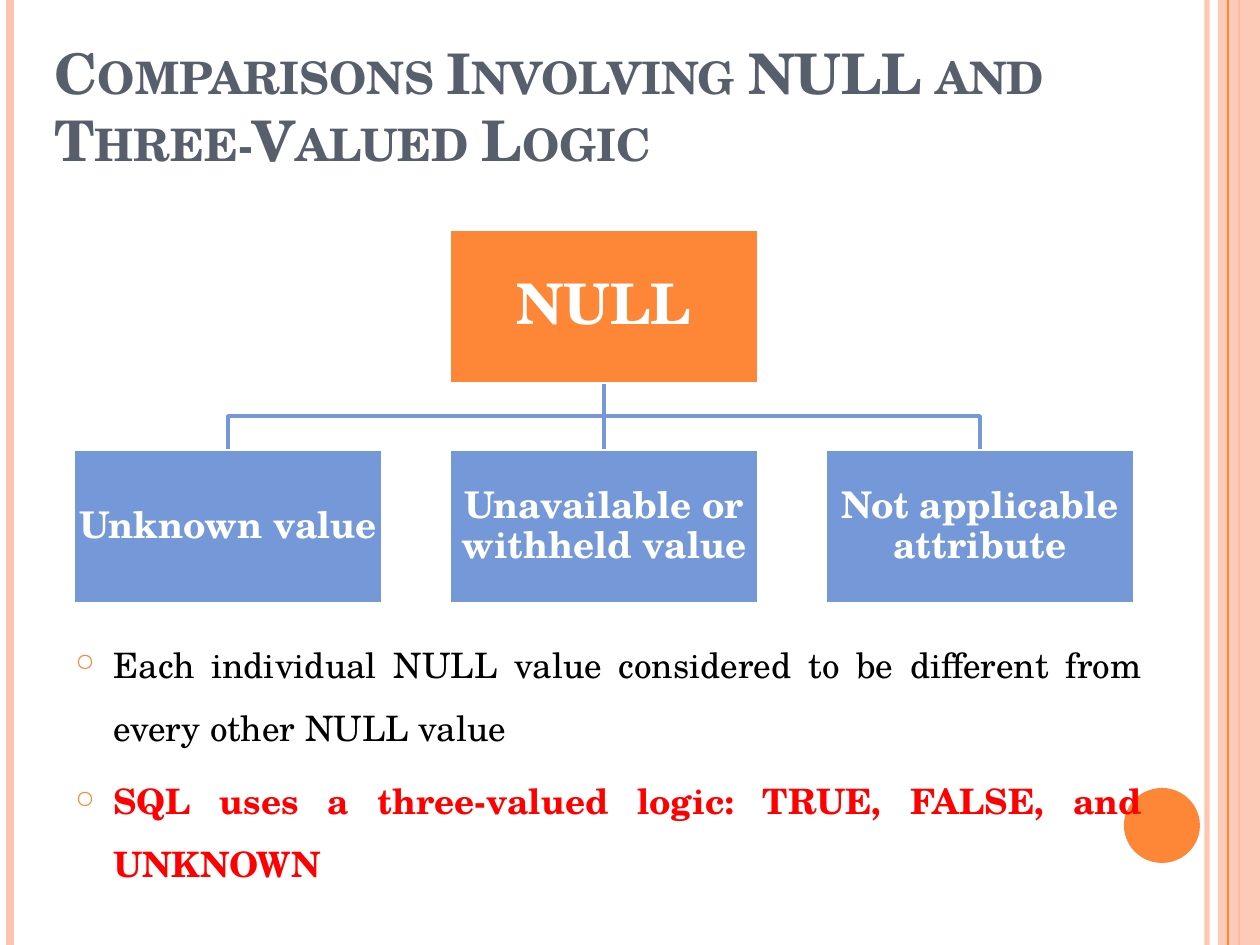
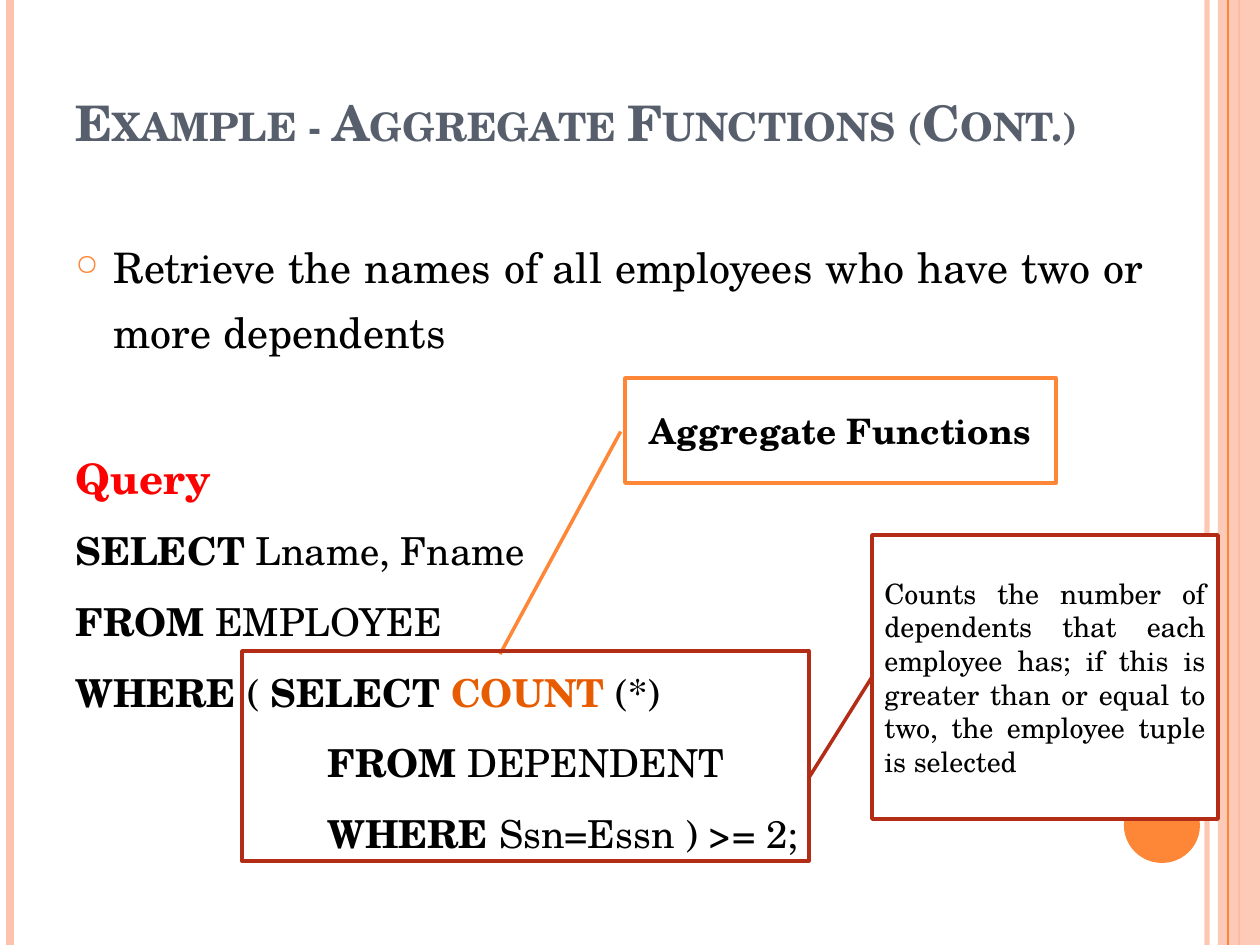
from lxml import etree
from pptx import Presentation
from pptx.dml.color import RGBColor
from pptx.enum.shapes import MSO_CONNECTOR, MSO_SHAPE
from pptx.enum.text import MSO_ANCHOR, PP_ALIGN
from pptx.oxml.ns import qn
from pptx.util import Inches, Pt

PX = 7257  # EMU in one px, 126 px to the inch
FONT = "TeX Gyre Schola"
COLORS = {
    "title": "575F6D", "text": "000000", "white": "FFFFFF", "key": "FF0000",
    "orange": "FE8637", "peach": "FEC3AE", "blue": "7598D9",
    "brick": "B32C16", "count": "E75C01",
}
LEFT, CENTER, JUSTIFY = PP_ALIGN.LEFT, PP_ALIGN.CENTER, PP_ALIGN.JUSTIFY
TOP, MIDDLE, BOTTOM = MSO_ANCHOR.TOP, MSO_ANCHOR.MIDDLE, MSO_ANCHOR.BOTTOM
RECT, OVAL, CALLOUT = MSO_SHAPE.RECTANGLE, MSO_SHAPE.OVAL, MSO_SHAPE.LINE_CALLOUT_1
STRAIGHT = MSO_CONNECTOR.STRAIGHT


def write(box, *runs, size=20, color="text", bold=False, align=LEFT, anchor=TOP,
          spacing=1.0, before=0, indent=0, inset=None, bullet=False, small_caps=False):
    """Add one paragraph; a run is a string or a (string, bold, colour) tuple."""
    frame = box.text_frame
    frame.word_wrap = True
    frame.vertical_anchor = anchor
    if inset is not None:
        frame.margin_left = frame.margin_right = inset * PX
        frame.margin_top = frame.margin_bottom = inset * PX
    paragraph = frame.paragraphs[0]
    if paragraph.runs:
        paragraph = frame.add_paragraph()
        paragraph.space_before = Pt(before)
    paragraph.alignment = align
    paragraph.line_spacing = spacing
    properties = paragraph._p.get_or_add_pPr()
    properties.set("marL", str(indent * PX))
    properties.set("indent", str(-indent * PX if bullet else 0))
    if bullet:
        tint = etree.SubElement(properties, qn("a:buClr"))
        etree.SubElement(tint, qn("a:srgbClr"), val=COLORS["orange"])
        etree.SubElement(properties, qn("a:buSzPct"), val="70000")
        etree.SubElement(properties, qn("a:buChar"), char="○")
    for item in runs:
        if item == "\n":
            paragraph.add_line_break()
            continue
        text, run_bold, run_color = (item, bold, color) if isinstance(item, str) else item
        run = paragraph.add_run()
        run.text = text
        run.font.name = FONT
        run.font.size = Pt(size)
        run.font.bold = run_bold
        run.font.color.rgb = RGBColor.from_string(COLORS[run_color])
        if small_caps:
            run._r.get_or_add_rPr().set("cap", "small")


def block(slide, preset, place, fill=None, line=None):
    """Draw a preset shape with a plain fill and a 2 pt outline."""
    shape = slide.shapes.add_shape(preset, *[length * PX for length in place])
    shape.shadow.inherit = False
    if fill:
        shape.fill.solid()
        shape.fill.fore_color.rgb = RGBColor.from_string(COLORS[fill])
    else:
        shape.fill.background()
    if line:
        shape.line.color.rgb = RGBColor.from_string(COLORS[line])
        shape.line.width = Pt(2)
    else:
        shape.line.fill.background()
    return shape


prs = Presentation()
prs.slide_width, prs.slide_height = Inches(10), Inches(7.5)
straight_lines = []  # connector, colour, width in points
see_through = []  # shape, opacity in percent

# Shared bands, circle and title
titles = [
    (["Comparisons Involving NULL and", "\n", "Three-Valued Logic"], 32, (42, 21, 1124, 158)),
    (["Example - Aggregate Functions (Cont.)"], 28, (63, 0, 1113, 158)),
]
slides = []
for title, size, place in titles:
    slide = prs.slides.add_slide(prs.slide_layouts[6])
    slides.append(slide)
    for x, color, width in [(1207, "peach", 3), (10, "peach", 4.5),
                            (1239, "orange", 1.5), (1228, "orange", 0.75)]:
        if x == 1228:
            margin = block(slide, RECT, (1218, 0, 42, 945), "peach")
            see_through.append((margin, 87))
        rule = slide.shapes.add_connector(STRAIGHT, x * PX, 0, x * PX, 945 * PX)
        straight_lines.append((rule, color, width))
        if x == 1207:
            see_through.append((rule, 93))
    block(slide, OVAL, (1124, 788, 76, 75), "orange")
    heading = slide.shapes.add_textbox(*[length * PX for length in place])
    write(heading, *title, size=size, color="title", bold=True, anchor=BOTTOM, small_caps=True)
logic_slide, query_slide = slides

# Slide 1: meanings of NULL
points = logic_slide.shapes.add_textbox(63 * PX, 616 * PX, 1092 * PX, 300 * PX)
bullet_style = dict(align=JUSTIFY, before=6, indent=38, bullet=True)
write(points, "Each individual NULL value considered to be different from every other NULL value",
      spacing=1.5, **bullet_style)
write(points, "SQL uses a three-valued logic: TRUE, FALSE, and UNKNOWN",
      color="key", bold=True, spacing=1.5, **bullet_style)

NODE_W, NODE_H, PITCH = 310, 155, 376
FIRST_X, ROOT_Y, LEAF_Y = 73, 229, 449
root_x = FIRST_X + PITCH
root_mid, root_bottom = root_x + NODE_W // 2, ROOT_Y + NODE_H
fork_y = (root_bottom + LEAF_Y) // 2
node_style = dict(color="white", bold=True, align=CENTER, anchor=MIDDLE, spacing=0.9, inset=1)
root = block(logic_slide, RECT, (root_x, ROOT_Y, NODE_W, NODE_H), "orange", "white")
write(root, "NULL", size=32, **node_style)
for i, meaning in enumerate(["Unknown value", "Unavailable or withheld value",
                             "Not applicable attribute"]):
    leaf_x = FIRST_X + i * PITCH
    leaf_mid = leaf_x + NODE_W // 2
    leaf = block(logic_slide, RECT, (leaf_x, LEAF_Y, NODE_W, NODE_H), "blue", "white")
    write(leaf, meaning, size=21, **node_style)
    if leaf_mid == root_mid:
        stem = logic_slide.shapes.add_connector(STRAIGHT, 0, 0, 0, 0)
        stem.begin_connect(root, 2)
        stem.end_connect(leaf, 0)
        straight_lines.append((stem, "blue", 2))
    else:
        outline = logic_slide.shapes.build_freeform(root_mid, root_bottom, scale=PX)
        outline.add_line_segments(
            [(root_mid, fork_y), (leaf_mid, fork_y), (leaf_mid, LEAF_Y)], close=False)
        branch = outline.convert_to_shape()
        branch.shadow.inherit = False
        branch.fill.background()
        branch.line.color.rgb = RGBColor.from_string(COLORS["blue"])
        branch.line.width = Pt(2)

# Slide 2: task and query
query = query_slide.shapes.add_textbox(63 * PX, 220 * PX, 1092 * PX, 672 * PX)
write(query, "Retrieve the names of all employees who have two or more dependents",
      size=24, spacing=1.3, **bullet_style)
write(query, "Query", size=24, color="key", bold=True, spacing=1.3, before=46)
SUBQUERY_INDENT = 252
for indent, *code in [
    (0, ("SELECT ", True, "text"), "Lname, Fname"),
    (0, ("FROM ", True, "text"), "EMPLOYEE"),
    (0, ("WHERE ", True, "text"), "( ", ("SELECT ", True, "text"),
     ("COUNT ", True, "count"), "(*)"),
    (SUBQUERY_INDENT, ("FROM ", True, "text"), "DEPENDENT"),
    (SUBQUERY_INDENT, ("WHERE ", True, "text"), "Ssn=Essn ) >= 2;"),
]:
    write(query, *code, size=22, spacing=1.3, before=6, indent=indent)

# Slide 2: callouts and subquery frame
for note, place, line, pointer, style in [
    ("Aggregate Functions", (625, 378, 431, 105), "orange", (0.51, -0.01, 2.63, -0.29),
     dict(size=20, bold=True, align=CENTER)),
    ("Counts the number of dependents that each employee has; if this is greater than "
     "or equal to two, the employee tuple is selected", (872, 535, 346, 284), "brick",
     (0.5, 0, 0.85, -0.18), dict(size=16, align=JUSTIFY)),
]:
    callout = block(query_slide, CALLOUT, place, "white", line)
    for i, value in enumerate(pointer):
        callout.adjustments[i] = value
    write(callout, note, anchor=MIDDLE, **style)
block(query_slide, RECT, (242, 651, 567, 210), line="brick")

# Line styles and transparency
for connector, color, width in straight_lines:
    connector.line.color.rgb = RGBColor.from_string(COLORS[color])
    connector.line.width = Pt(width)
    etree.SubElement(connector.element.spPr, qn("a:effectLst"))
for shape, opacity in see_through:
    for tint in shape.element.spPr.iter(qn("a:srgbClr")):
        etree.SubElement(tint, qn("a:alpha"), val=str(opacity * 1000))

prs.save("out.pptx")
